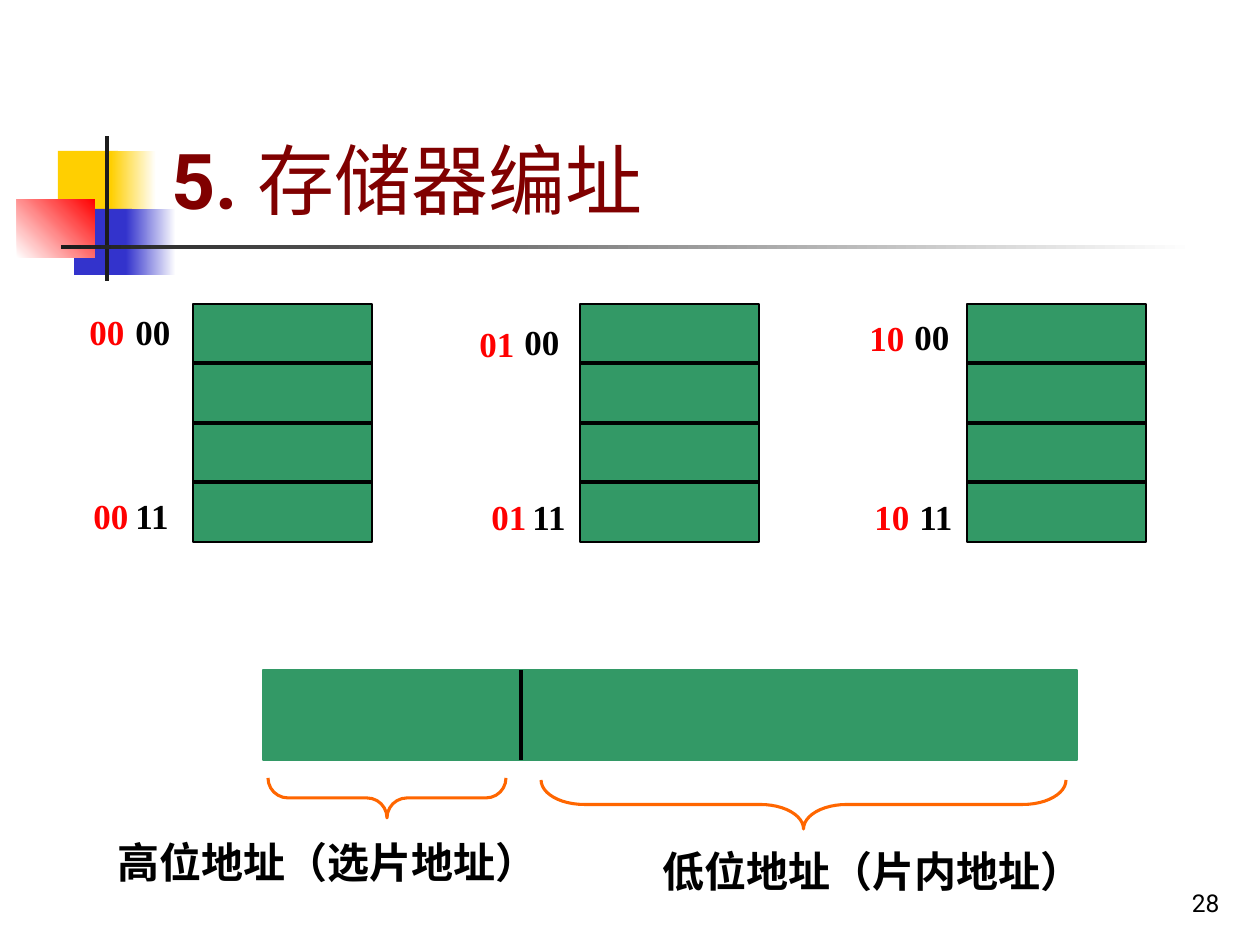
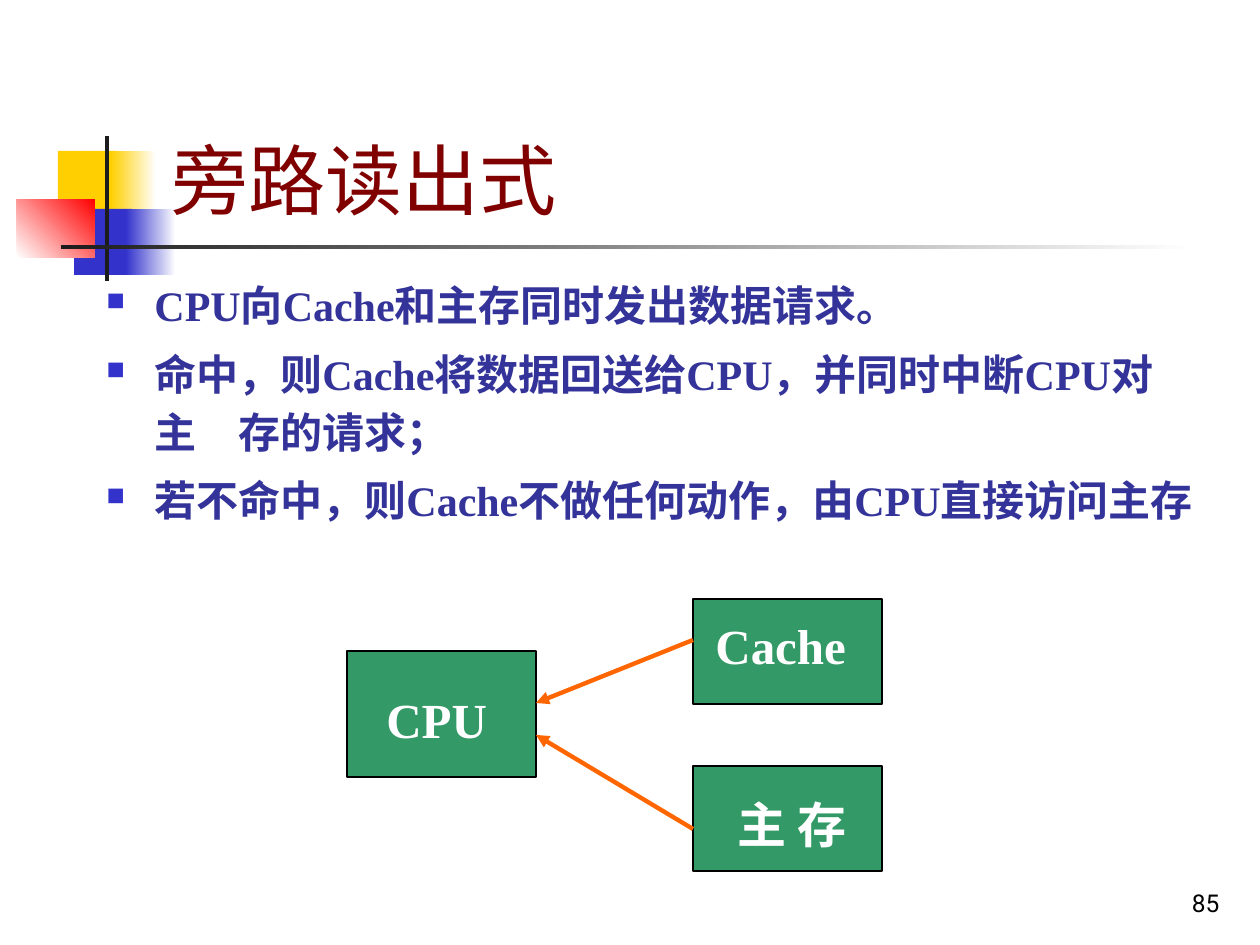
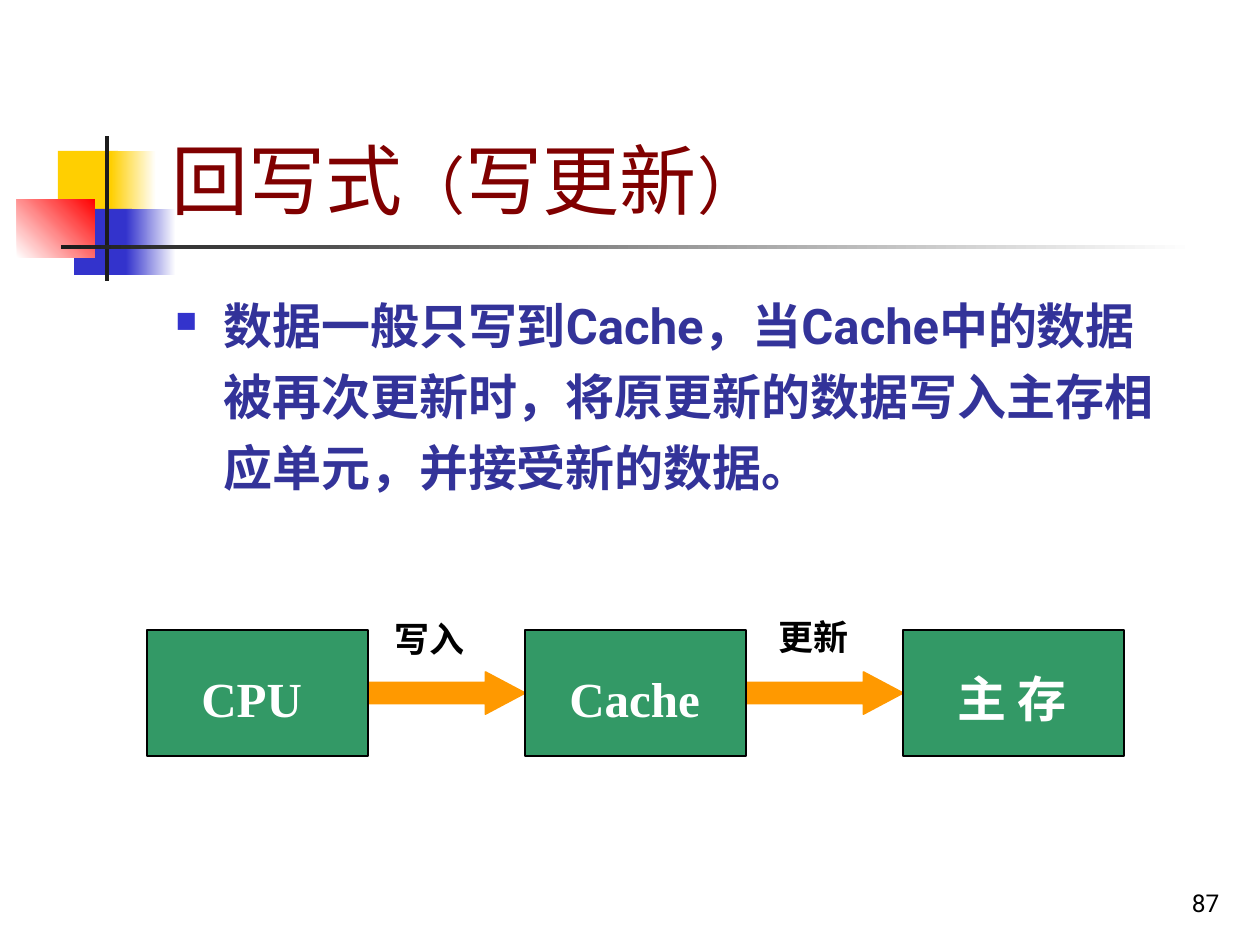
from dataclasses import dataclass

from lxml.etree import SubElement
from pptx import Presentation
from pptx.dml.color import RGBColor
from pptx.enum.lang import MSO_LANGUAGE_ID
from pptx.enum.shapes import MSO_CONNECTOR, MSO_SHAPE
from pptx.enum.text import MSO_ANCHOR, MSO_AUTO_SIZE, PP_ALIGN
from pptx.oxml.ns import qn
from pptx.util import Pt

PX = 914400 / 126  # EMU in one px


@dataclass(frozen=True)
class Theme:
    sans: str = "Roboto"
    serif: str = "Times New Roman"
    black: str = "000000"
    white: str = "FFFFFF"
    ink: str = "1C1C1C"
    yellow: str = "FFCF01"
    blue: str = "3333CC"
    red: str = "FF0000"
    title: str = "800000"
    body: str = "333399"
    green: str = "339966"
    orange: str = "FF6600"
    arrow: str = "FF9900"
    title_size: int = 44
    bracket_size: int = 36
    block_size: int = 28
    body_size: int = 24
    label_size: int = 20
    number_size: int = 14


theme = Theme()


def add_text(slide, text, frame, *, shape=None, size=theme.label_size, color=theme.black,
             font=theme.serif, bold=True, align=PP_ALIGN.LEFT, anchor=MSO_ANCHOR.TOP,
             bullet=False, line_spacing=None, before=0, after=0):
    """Write text: a string, or paragraphs that are lists of (text, size, bold) runs."""
    left, top, width, height = [round(length * PX) for length in frame]
    if shape is None:
        shape = slide.shapes.add_textbox(left, top, width, height)
    else:
        shape.left, shape.top, shape.width, shape.height = left, top, width, height
    text_frame = shape.text_frame
    text_frame.word_wrap = True
    text_frame.auto_size = MSO_AUTO_SIZE.NONE
    text_frame.vertical_anchor = anchor
    paragraphs = [[(text, size, bold)]] if isinstance(text, str) else text
    for index, runs in enumerate(paragraphs):
        paragraph = text_frame.add_paragraph() if index else text_frame.paragraphs[0]
        if bullet:
            properties = paragraph._p.get_or_add_pPr()
            properties.set("marL", str(round(48 * PX)))
            properties.set("indent", str(round(-48 * PX)))
            bullet_color = SubElement(properties, qn("a:buClr"))
            SubElement(bullet_color, qn("a:srgbClr"), val=theme.blue)
            SubElement(properties, qn("a:buSzPct"), val="60000")
            SubElement(properties, qn("a:buChar"), char="■")
        paragraph.alignment = align
        paragraph.line_spacing = line_spacing
        paragraph.space_before = Pt(before if index else 0)
        paragraph.space_after = Pt(after)
        for run_text, run_size, run_bold in runs:
            run = paragraph.add_run()
            run.text = run_text
            run.font.name = font
            run.font.size = Pt(run_size)
            run.font.bold = run_bold
            run.font.color.rgb = RGBColor.from_string(color)
            run.font.language_id = MSO_LANGUAGE_ID.SIMPLIFIED_CHINESE


def add_shape(slide, frame, fill, *, kind=MSO_SHAPE.RECTANGLE, line=None, line_width=1,
              angle=0, adjustments=()):
    """Draw a preset shape; fill is a colour, a pair of gradient colours or None."""
    shape = slide.shapes.add_shape(kind, *[round(length * PX) for length in frame])
    shape.shadow.inherit = False
    for index, value in enumerate(adjustments):
        shape.adjustments[index] = value
    if fill is None:
        shape.fill.background()
    elif isinstance(fill, tuple):
        shape.fill.gradient()
        shape.fill.gradient_angle = angle
        for stop, color, position in zip(shape.fill.gradient_stops, fill, (0, 1)):
            stop.color.rgb = RGBColor.from_string(color)
            stop.position = position
    else:
        shape.fill.solid()
        shape.fill.fore_color.rgb = RGBColor.from_string(fill)
    if line:
        shape.line.color.rgb = RGBColor.from_string(line)
        shape.line.width = Pt(line_width)
    else:
        shape.line.fill.background()
    return shape


presentation = Presentation()
presentation.slide_width = round(1260 * PX)
presentation.slide_height = round(945 * PX)
layout = presentation.slide_layouts[5]

# Titles and page numbers
size = theme.title_size
pages = [
    (28, [("5. ", size, True), ("存储器编址", size, False)]),
    (85, [("旁路读出式", size, False)]),
    (87, [("回写式", size, False), ("（", theme.bracket_size, False),
          ("写更新", size, False), ("）", theme.bracket_size, False)]),
]
for number, title in pages:
    slide = presentation.slides.add_slide(layout)
    add_text(slide, [title], (159, 29, 1074, 202), shape=slide.shapes.title,
             color=theme.title, font=theme.sans, anchor=MSO_ANCHOR.BOTTOM)
    add_text(slide, str(number), (970, 861, 262, 63), size=theme.number_size,
             font=theme.sans, bold=False, align=PP_ALIGN.RIGHT, anchor=MSO_ANCHOR.BOTTOM)
address_slide, look_aside_slide, write_back_slide = presentation.slides

# Shared ornament, moved to the layout
for placeholder in list(layout.placeholders)[1:]:
    placeholder.element.getparent().remove(placeholder.element)
ornament = [
    ((58, 151, 60, 66), theme.yellow, 0),
    ((111, 151, 45, 66), (theme.yellow, theme.white), 0),
    ((74, 209, 58, 66), theme.blue, 0),
    ((126, 209, 50, 66), (theme.blue, theme.white), 0),
    ((17, 199, 78, 59), (theme.white, theme.red), 45),
    ((105, 136, 4, 145), theme.ink, 0),
    ((61, 245, 1134, 4), (theme.ink, theme.white), 0),
]
ornament_shapes = [add_shape(address_slide, frame, fill, angle=angle)
                   for frame, fill, angle in ornament]
for shape in ornament_shapes:
    layout.element.cSld.spTree.append(shape.element)

lines = []  # slide, from, to, colour, width, arrowhead

# Memory chips with the address of the first and last cell
chip_top, chip_width, chip_height, chip_pitch = 304, 179, 238, 387
chips = [
    ("00", [(77, 304), (81, 488)], [(123, 304), (123, 488)]),
    ("01", [(467, 316), (479, 489)], [(512, 314), (520, 489)]),
    ("10", [(857, 310), (862, 489)], [(902, 309), (907, 489)]),
]
for index, (chip_number, high_places, low_places) in enumerate(chips):
    left = 193 + index * chip_pitch
    add_shape(address_slide, (left, chip_top, chip_width, chip_height), theme.green,
              line=theme.black)
    for row in (1, 2, 3):
        y = chip_top + chip_height * row // 4
        lines.append((address_slide, (left, y), (left + chip_width, y),
                      theme.black, 1.75, False))
    for high_place, low_place, cell in zip(high_places, low_places, ("00", "11")):
        add_text(address_slide, chip_number, (*high_place, 79, 55), color=theme.red)
        add_text(address_slide, cell, (*low_place, 79, 55))

# Address word with its two parts
add_shape(address_slide, (263, 670, 814, 90), theme.green, line=theme.green)
lines.append((address_slide, (521, 670), (521, 760), theme.black, 1.75, False))
address_parts = [
    ((367, 679, 40, 238), 0.5, "高位地址（选片地址）", (105, 830, 496, 63)),
    ((779, 542, 49, 525), 0.88, "低位地址（片内地址）", (650, 839, 466, 63)),
]
for brace_frame, curve, caption, caption_frame in address_parts:
    brace = add_shape(address_slide, brace_frame, None, kind=MSO_SHAPE.RIGHT_BRACE,
                      line=theme.orange, line_width=1.75, adjustments=(curve, 0.5))
    brace.rotation = 90
    add_text(address_slide, caption, caption_frame, size=theme.body_size)

# Look-aside read
look_aside_points = [
    "CPU向Cache和主存同时发出数据请求。",
    "命中，则Cache将数据回送给CPU，并同时中断CPU对主　存的请求；",
    "若不命中，则Cache不做任何动作，由CPU直接访问主存",
]
add_text(look_aside_slide, [[(point, theme.body_size, True)] for point in look_aside_points],
         (94, 266, 1140, 325), color=theme.body, bullet=True,
         line_spacing=1.15, before=4.5, after=1.5)
for start, end in [((693, 640), (536, 703)), ((693, 829), (536, 735))]:
    lines.append((look_aside_slide, start, end, theme.orange, 2.5, True))

# Write-back
add_text(write_back_slide,
         "数据一般只写到Cache，当Cache中的数据被再次更新时，"
         "将原更新的数据写入主存相应单元，并接受新的数据。",
         (163, 278, 1013, 305), size=theme.block_size, color=theme.body, font=theme.sans,
         bullet=True, line_spacing=1.2, after=1.8)
block_left, block_width, block_pitch = 147, 221, 378
for index, (caption, caption_place) in enumerate([("写入", (382, 611)), ("更新", (766, 609))]):
    arrow_left = block_left + block_width + index * block_pitch
    add_shape(write_back_slide, (arrow_left, 672, block_pitch - block_width, 42), theme.arrow,
              kind=MSO_SHAPE.RIGHT_ARROW, line=theme.arrow, adjustments=(0.5, 0.94))
    add_text(write_back_slide, caption, (*caption_place, 126, 55))

# Blocks of both cache diagrams
write_back_frames = [(block_left + index * block_pitch, 630, block_width, 126)
                     for index in range(3)]
blocks = [
    (look_aside_slide, "CPU", (347, 651, 189, 126), (374, 683, 147, 72)),
    (look_aside_slide, "Cache", (693, 599, 189, 105), (703, 609, 168, 72)),
    (look_aside_slide, "主 存", (693, 766, 189, 105), (725, 788, 140, 72)),
    (write_back_slide, "CPU", write_back_frames[0], (189, 662, 147, 72)),
    (write_back_slide, "Cache", write_back_frames[1], (557, 662, 168, 72)),
    (write_back_slide, "主 存", write_back_frames[2], (945, 662, 140, 72)),
]
for slide, name, frame, name_frame in blocks:
    add_shape(slide, frame, theme.green, line=theme.black)
    add_text(slide, name, name_frame, size=theme.block_size, color=theme.white)

# Lines and arrows
for slide, start, end, color, width, arrowhead in lines:
    connector = slide.shapes.add_connector(
        MSO_CONNECTOR.STRAIGHT, *[round(length * PX) for length in (*start, *end)])
    connector.line.color.rgb = RGBColor.from_string(color)
    connector.line.width = Pt(width)
    if arrowhead:
        SubElement(connector.line._get_or_add_ln(), qn("a:tailEnd"), type="triangle")
    SubElement(connector.element.spPr, qn("a:effectLst"))

presentation.save("out.pptx")
